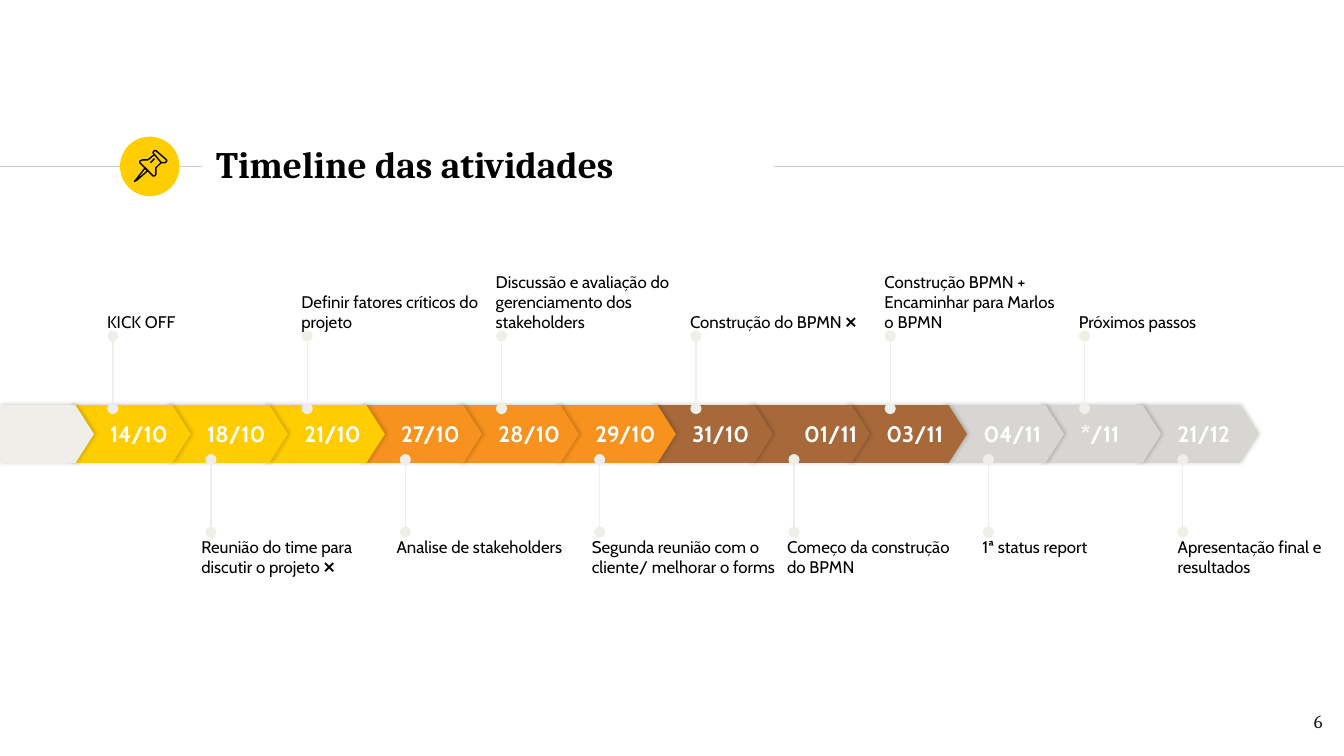
import pptx
import pptx.util
import pptx.dml.color
import pptx.enum.shapes
import pptx.enum.text
import pptx.oxml.ns
import lxml.etree

deck = pptx.Presentation()
deck.slide_width = pptx.util.Inches(10)
deck.slide_height = deck.slide_width * 9 // 16
slide = deck.slides.add_slide(deck.slide_layouts[6])
shapes = slide.shapes

COL = deck.slide_width / 100
ROW = deck.slide_height / 56.25
FORM = pptx.enum.shapes.MSO_SHAPE
ANCHOR = pptx.enum.text.MSO_ANCHOR
ALIGN = pptx.enum.text.PP_ALIGN
qn = pptx.oxml.ns.qn
colour = pptx.dml.color.RGBColor.from_string


def grid(left, top, width, height):
    return [round(n * unit) for n, unit in
            ((left, COL), (top, ROW), (width, COL), (height, ROW))]


def write(shape, text, size, font, hue, bold=False, anchor=ANCHOR.TOP,
          align=ALIGN.LEFT, insets=(0, 0, 0, 0)):
    frame = shape.text_frame
    frame.word_wrap = True
    frame.vertical_anchor = anchor
    (frame.margin_left, frame.margin_top,
     frame.margin_right, frame.margin_bottom) = grid(*insets)
    frame.text = text
    for paragraph in frame.paragraphs:
        paragraph.alignment = align
        paragraph.font.size = pptx.util.Pt(size)
        paragraph.font.name = font
        paragraph.font.bold = bold
        paragraph.font.color.rgb = colour(hue)


title = shapes.add_textbox(*grid(15.1, 9.8, 42.4, 4.8))
write(title, "Timeline das atividades", 20, "Cambria", "000000", bold=True,
      anchor=ANCHOR.MIDDLE, insets=(1, 1, 1, 1))
page_number = shapes.add_textbox(*grid(93.4, 51.95, 6, 4.3))
write(page_number, "6", 10, "Cambria", "1D1D1B", align=ALIGN.RIGHT, insets=(1, 1, 1, 1))

dates = ["14/10", "18/10", "21/10", "27/10", "28/10", "29/10",
         "31/10", "01/11", "03/11", "04/11", "*/11", "21/12"]
phases = ["FFCD00", "F6921D", "A7693A", "D8D6D2"]
steps = [(0, 7, "F0EEE9", "")]
for index, date in enumerate(dates):
    steps.append((5.2 + 7.22 * index, 9, phases[index // 3], date))

for left, width, hue, date in reversed(steps):
    step = shapes.add_shape(FORM.PENTAGON, *grid(left, 30.15, width, 4.3))
    step.adjustments[0] = 0.32
    step.fill.solid()
    step.fill.fore_color.rgb = colour(hue)
    step.line.fill.background()
    step.shadow.inherit = False
    effects = step.element.spPr.find(qn("a:effectLst"))
    shade = lxml.etree.SubElement(
        effects, qn("a:outerShdw"), blurRad=str(pptx.util.Pt(2.2)),
        dist=str(pptx.util.Pt(0.8)), dir="0", algn="ctr", rotWithShape="0")
    black = lxml.etree.SubElement(shade, qn("a:srgbClr"), val="000000")
    lxml.etree.SubElement(black, qn("a:alpha"), val="20000")
    if date:
        indent = 4.1 if date == "01/11" else 3
        write(step, date, 12, "Cabin", "FFFFFF", bold=True,
              anchor=ANCHOR.MIDDLE, insets=(indent, 0, 0, 0))

lines = [(0, 12.4, 15, 12.4, "CCCCCC", False), (57.6, 12.4, 100, 12.4, "CCCCCC", False)]
for first_stem, start, end in ((8.4, 30.4, 25), (15.7, 39.6, 34.2)):
    for index in range(len(dates) // 2):
        stem = first_stem + 14.46 * index
        lines.append((stem, start, stem, end, "F0EEE9", True))

for x1, y1, x2, y2, hue, dotted_ends in lines:
    line = shapes.add_connector(pptx.enum.shapes.MSO_CONNECTOR.STRAIGHT,
                                *grid(x1, y1, x2, y2))
    line.line.width = pptx.util.Pt(0.75)
    line.line.color.rgb = colour(hue)
    lxml.etree.SubElement(line.element.spPr, qn("a:effectLst"))
    if dotted_ends:
        stroke = line.element.spPr.find(qn("a:ln"))
        for end in ("a:headEnd", "a:tailEnd"):
            lxml.etree.SubElement(stroke, qn(end), type="oval")

above = [("KICK OFF", 13.7),
         ("Definir fatores críticos do projeto", 13.7),
         ("Discussão e avaliação do gerenciamento dos stakeholders", 15.7),
         ("Construção do BPMN ❌", 13.7),
         ("Construção BPMN +\nEncaminhar para Marlos o BPMN", 13.2),
         ("Próximos passos", 13.7)]
below = [("Reunião do time para discutir o projeto ❌", 13.7),
         ("Analise de stakeholders", 13.7),
         ("Segunda reunião com o cliente/ melhorar o forms", 13.7),
         ("Começo da construção do BPMN", 13.7),
         ("1ª status report", 13.7),
         ("Apresentação final e resultados", 11.3)]
for activities, left, pitch, top, anchor in (
        (above, 7.97, 14.46, 18.92, ANCHOR.BOTTOM),
        (below, 14.98, 14.53, 39.9, ANCHOR.TOP)):
    for index, (activity, width) in enumerate(activities):
        label = shapes.add_textbox(*grid(left + pitch * index, top, width, 5.8))
        write(label, activity, 9, "Cabin", "000000", anchor=anchor)

badge = shapes.add_shape(FORM.OVAL, *grid(8.93, 10.17, 4.43, 4.43))
badge.fill.solid()
badge.fill.fore_color.rgb = colour("FFCD00")
badge.line.fill.background()
badge.shadow.inherit = False

needle = [(108, 125), (101, 134), (100, 135), (102, 134), (110, 127)]
cap = [(115, 115), (120, 121), (122, 121), (123, 121), (124, 120),
       (124, 119), (116, 112), (115, 112), (114, 113), (114, 114)]
body = [(115, 115), (110, 119), (108, 119), (106, 119), (104, 120),
        (104, 121), (114, 131), (115, 131), (116, 130), (116, 127),
        (116, 125), (120, 121)]
glint = [(112, 121), (115, 118)]
for outline, closed in ((needle, True), (cap, True), (body, False), (glint, False)):
    builder = shapes.build_freeform(*outline[0], scale=(COL / 10, ROW / 10))
    builder.add_line_segments(outline[1:], close=closed)
    pin_part = builder.convert_to_shape()
    pin_part.fill.background()
    pin_part.line.color.rgb = colour("000000")
    pin_part.line.width = pptx.util.Pt(0.75)
    pin_part.shadow.inherit = False

deck.save("out.pptx")
